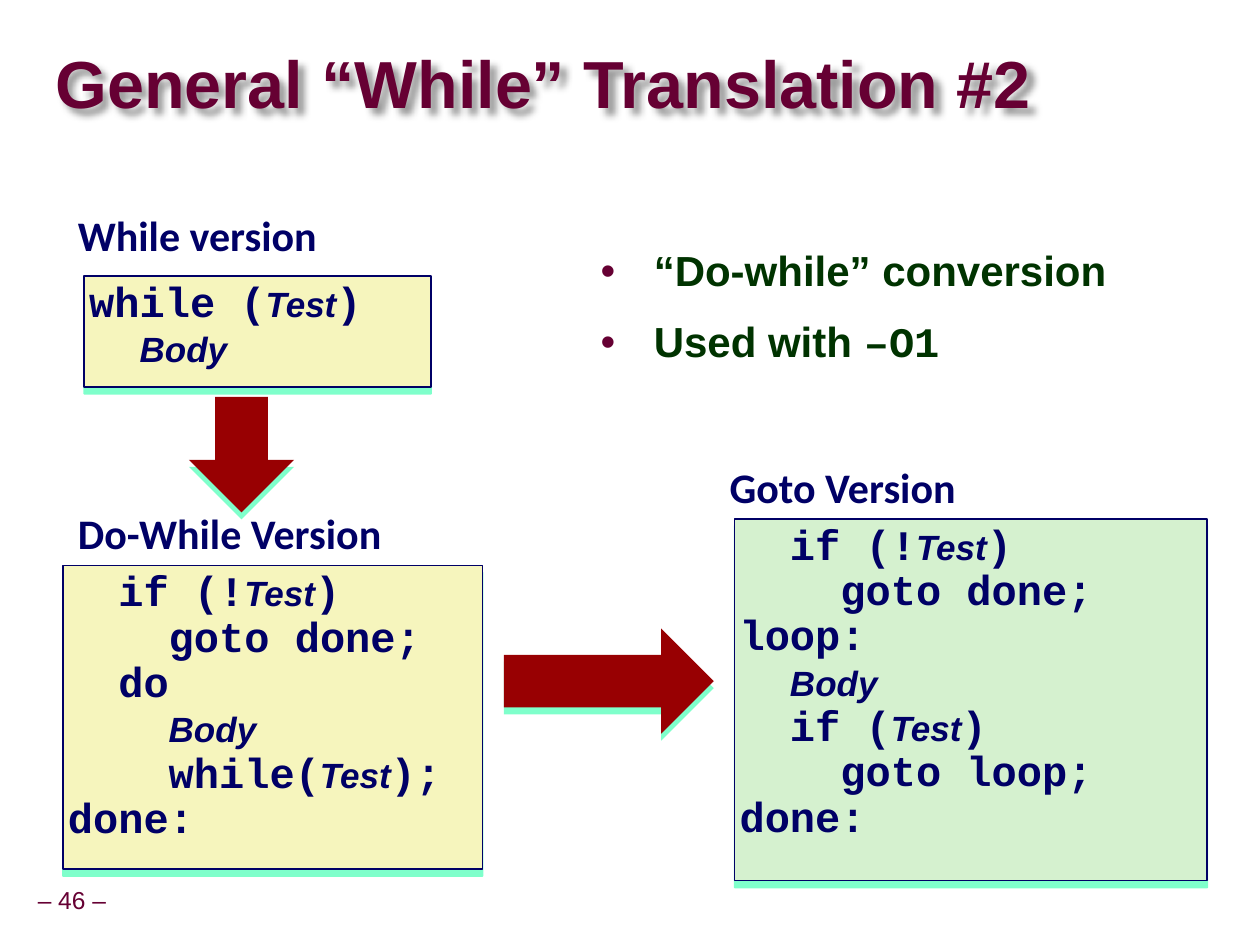
from lxml.etree import SubElement
from pptx import Presentation
from pptx.dml.color import RGBColor
from pptx.enum.shapes import MSO_SHAPE as SHAPE
from pptx.enum.text import MSO_ANCHOR as ANCHOR, MSO_AUTO_SIZE as AUTO_SIZE, PP_ALIGN as ALIGN
from pptx.oxml.ns import qn
from pptx.util import Cm, Pt

MAROON = RGBColor(0x66, 0x00, 0x33)
NAVY = RGBColor(0x00, 0x00, 0x66)
GREEN = RGBColor(0x00, 0x33, 0x00)
RED = RGBColor(0x98, 0x00, 0x02)
YELLOW = RGBColor(0xF6, 0xF5, 0xBD)
MINT = RGBColor(0xD5, 0xF1, 0xCF)
AQUA = RGBColor(0x00, 0xFF, 0x99)
BLACK = RGBColor(0x00, 0x00, 0x00)

TITLE = "General “While” Translation #2"
PAGE = "– 46 –"
POINTS = [
    [("“Do-while” conversion", "Arial")],
    [("Used with ", "Arial"), ("–O1", "Courier New")],
]
PLACEHOLDERS = ("Test", "Body")
VERSIONS = [
    ("While version", (1.47, 4.24), YELLOW, (1.7, 5.56, 6.99, 2.24), [
        ("while (", "Test", ")"),
        ("  ", "Body"),
    ]),
    ("Do-While Version", (1.47, 10.24), YELLOW, (1.27, 11.4, 8.46, 6.12), [
        ("  if (!", "Test", ")"),
        ("    goto done;",),
        ("  do",),
        ("    ", "Body"),
        ("    while(", "Test", ");"),
        ("done:",),
    ]),
    ("Goto Version", (14.61, 9.32), MINT, (14.81, 10.46, 9.53, 7.29), [
        ("  if (!", "Test", ")"),
        ("    goto done;",),
        ("loop:",),
        ("  ", "Body"),
        ("  if (", "Test", ")"),
        ("    goto loop;",),
        ("done:",),
    ]),
]
ARROWS = [
    (SHAPE.DOWN_ARROW, (3.81, 8, 2.12, 2.33)),
    (SHAPE.RIGHT_ARROW, (10.16, 12.67, 4.23, 2.12)),
]


def place(box):
    return [Cm(length) for length in box]


def add_shadow(shape, color, alpha, blur, distance, degrees):
    shape.shadow.inherit = False
    effects = shape._element.spPr.find(qn("a:effectLst"))
    shadow = SubElement(effects, qn("a:outerShdw"), blurRad=str(Pt(blur)),
                        dist=str(Pt(distance)), dir=str(degrees * 60000),
                        algn="ctr", rotWithShape="0")
    tint = SubElement(shadow, qn("a:srgbClr"), val=str(color))
    SubElement(tint, qn("a:alpha"), val=str(alpha * 1000))


def set_frame(frame, inset, anchor=ANCHOR.TOP, wrap=True):
    frame.auto_size = AUTO_SIZE.NONE
    frame.word_wrap = wrap
    frame.vertical_anchor = anchor
    frame.margin_left = frame.margin_right = Cm(inset)
    frame.margin_top = frame.margin_bottom = Cm(inset)


def add_run(paragraph, text, font, size, color, bold=True, italic=False):
    run = paragraph.add_run()
    run.text = text
    run.font.name = font
    run.font.size = Pt(size)
    run.font.color.rgb = color
    run.font.bold = bold
    run.font.italic = italic


def new_paragraph(frame, index, spacing):
    paragraph = frame.add_paragraph() if index else frame.paragraphs[0]
    paragraph.alignment = ALIGN.LEFT
    paragraph.line_spacing = spacing
    return paragraph


def add_code(slide, fill, box, lines):
    panel = slide.shapes.add_shape(SHAPE.RECTANGLE, *place(box))
    panel.fill.solid()
    panel.fill.fore_color.rgb = fill
    panel.line.color.rgb = NAVY
    panel.line.width = Pt(1)
    add_shadow(panel, AQUA, 50, 0, 4, 90)
    set_frame(panel.text_frame, 0.1)
    for index, line in enumerate(lines):
        paragraph = new_paragraph(panel.text_frame, index, 0.9)
        for part in line:
            if part in PLACEHOLDERS:
                add_run(paragraph, part, "Arial", 20, NAVY, italic=True)
            else:
                add_run(paragraph, part, "Courier New", 24, NAVY)


def add_heading(slide, text, corner):
    heading = slide.shapes.add_textbox(*place((*corner, 8.08, 1.24))).text_frame
    set_frame(heading, 0.1)
    add_run(new_paragraph(heading, 0, 0.9), text, "Calibri", 24, NAVY)


def add_points(slide):
    points = slide.shapes.add_textbox(*place((11.86, 4.88, 12.27, 11.1))).text_frame
    set_frame(points, 0.13)
    points.margin_left = points.margin_right = Cm(0.25)
    for index, parts in enumerate(POINTS):
        paragraph = new_paragraph(points, index, 0.95)
        if index:
            paragraph.space_before = Pt(13)
        properties = paragraph._p.get_or_add_pPr()
        properties.set("marL", str(Cm(1.07)))
        properties.set("indent", str(-Cm(1.07)))
        bullet_color = SubElement(properties, qn("a:buClr"))
        SubElement(bullet_color, qn("a:srgbClr"), val=str(MAROON))
        SubElement(properties, qn("a:buFont"), typeface="Arial")
        SubElement(properties, qn("a:buChar"), char="•")
        for text, font in parts:
            add_run(paragraph, text, font, 24, GREEN)


def main():
    deck = Presentation()
    deck.slide_width, deck.slide_height = Cm(25.4), Cm(19.05)
    slide = deck.slides.add_slide(deck.slide_layouts[5])

    title = slide.shapes.title
    title.left, title.top, title.width, title.height = place((1.12, 0.69, 24.2, 2.16))
    set_frame(title.text_frame, 0, ANCHOR.MIDDLE)
    add_run(new_paragraph(title.text_frame, 0, 0.87), TITLE, "Arial", 38, MAROON)
    add_shadow(title, BLACK, 40, 4, 4, 45)

    for heading, corner, fill, box, lines in VERSIONS:
        add_heading(slide, heading, corner)
        add_code(slide, fill, box, lines)
    add_points(slide)

    for kind, box in ARROWS:
        arrow = slide.shapes.add_shape(kind, *place(box))
        arrow.fill.solid()
        arrow.fill.fore_color.rgb = RED
        arrow.line.fill.background()
        add_shadow(arrow, AQUA, 50, 0, 4, 90)

    page = slide.shapes.add_textbox(*place((0.61, 17.78, 1.68, 0.79))).text_frame
    set_frame(page, 0.13, ANCHOR.MIDDLE, wrap=False)
    number = new_paragraph(page, 0, 0.9)
    number.alignment = ALIGN.CENTER
    add_run(number, PAGE, "Arial", 14, MAROON, bold=False)

    deck.save("out.pptx")


if __name__ == "__main__":
    main()
